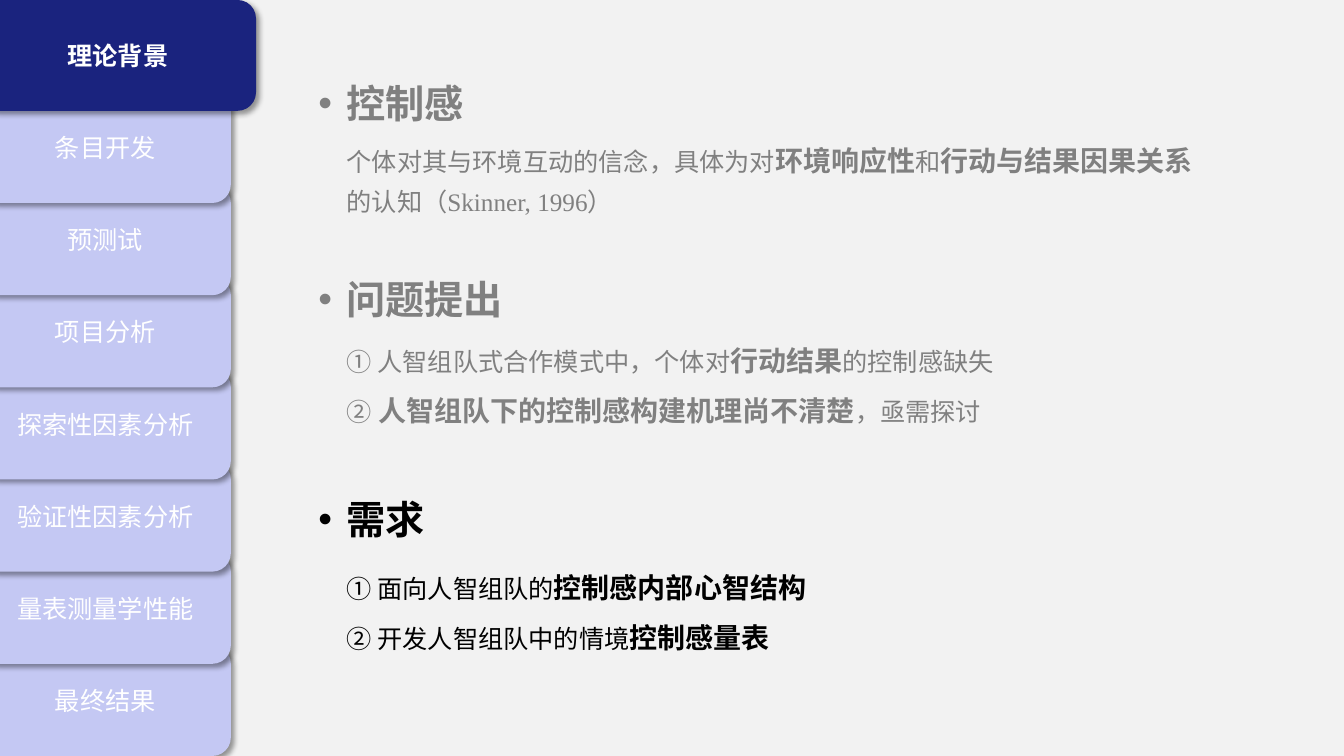
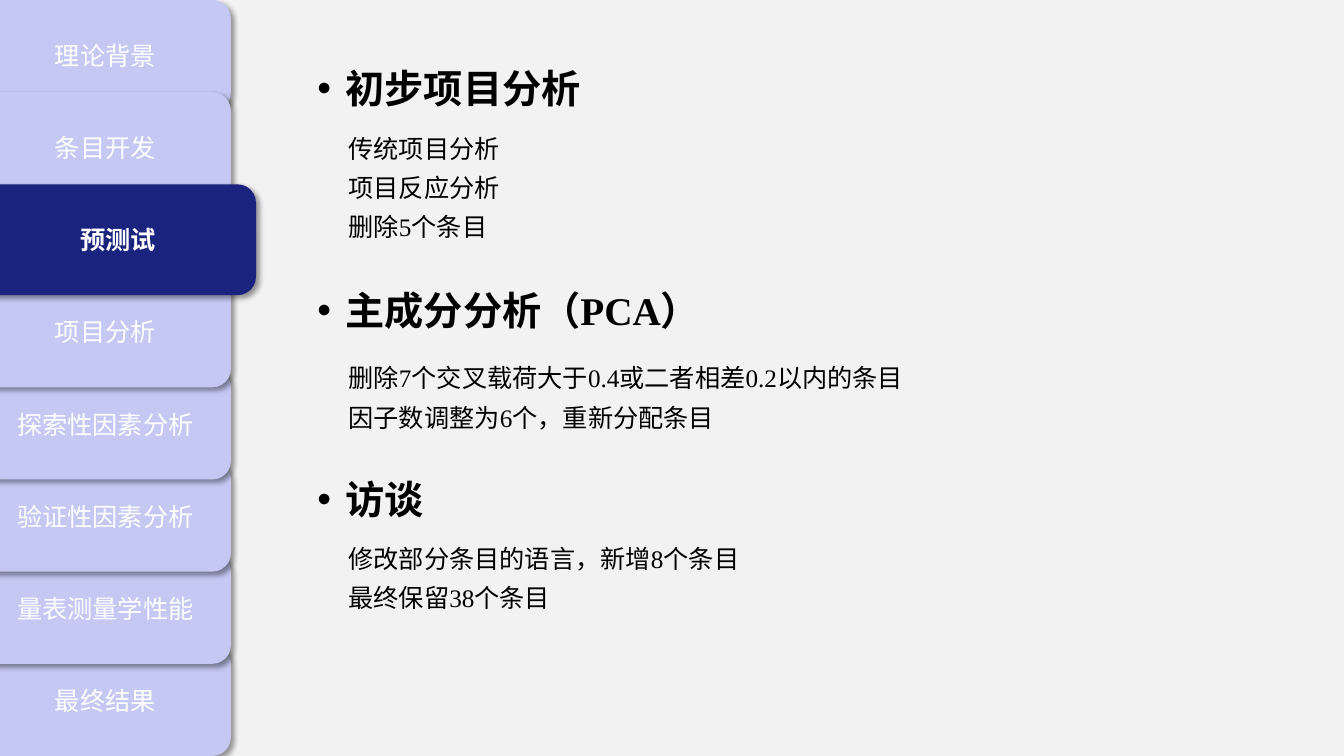
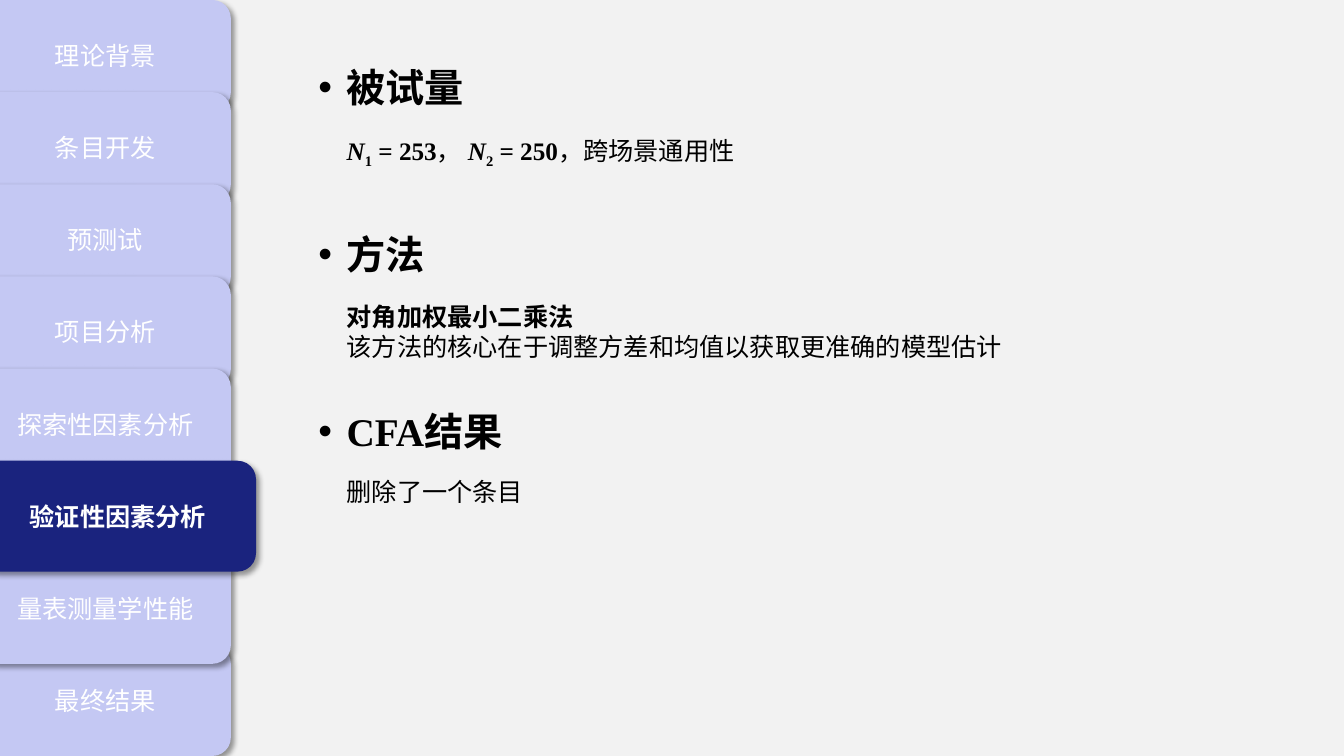
import pptx
import pptx.util
import pptx.dml.color
import pptx.enum.shapes
import pptx.enum.text
import pptx.oxml.ns
from lxml import etree

Pt = pptx.util.Pt
COLOR = {"back": "F2F2F2", "tab": "C4C8F3", "live": "1A237E",
         "white": "FFFFFF", "black": "000000", "gray": "808080"}
SERIF, SANS = "Times New Roman", "Noto Sans CJK SC"
WIDE, HIGH = 960, 540
TABS = ["理论背景", "条目开发", "预测试", "项目分析", "探索性因素分析",
        "验证性因素分析", "量表测量学性能", "最终结果"]
TAB_LEFT, TAB_WIDE, LIVE_WIDE, TAB_HIGH = -14.4, 179.3, 197.3, 79.2
HEAD_WIDE, HEAD_HIGH, BODY_WIDE = 590, 41, 622


def rgb(name):
    return pptx.dml.color.RGBColor.from_string(COLOR[name])


def child(node, tag, **attrs):
    return etree.SubElement(node, pptx.oxml.ns.qn(tag), attrs)


def style(run, size, color, marks="", face=SERIF):
    """Marks: b bold, B bold and larger, i italic, s subscript."""
    font = run.font
    font.size = Pt(size + 2 if "B" in marks else size)
    font.name = face
    font.bold = "b" in marks.lower()
    font.italic = "i" in marks
    font.color.rgb = rgb(color)
    props = run._r.get_or_add_rPr()
    child(props, "a:ea", typeface=SANS)
    if "s" in marks:
        props.set("baseline", "-25000")


def shade(shape):
    shape.shadow.inherit = False
    effects = shape._element.spPr.find(pptx.oxml.ns.qn("a:effectLst"))
    outer = child(effects, "a:outerShdw", blurRad=str(Pt(4)), dist=str(Pt(3)),
                  dir="2700000", algn="tl", rotWithShape="0")
    tint = child(outer, "a:srgbClr", val=COLOR["black"])
    child(tint, "a:alpha", val="40000")


def add_tab(slide, index, live):
    top = index * (HIGH - TAB_HIGH) / (len(TABS) - 1)
    tab = slide.shapes.add_shape(
        pptx.enum.shapes.MSO_SHAPE.ROUNDED_RECTANGLE, Pt(TAB_LEFT), Pt(top),
        Pt(LIVE_WIDE if live else TAB_WIDE), Pt(TAB_HIGH))
    tab.fill.solid()
    tab.fill.fore_color.rgb = rgb("live" if live else "tab")
    tab.line.fill.background()
    shade(tab)
    frame = tab.text_frame
    frame.text = TABS[index]
    frame.vertical_anchor = pptx.enum.text.MSO_ANCHOR.MIDDLE
    line = frame.paragraphs[0]
    line.alignment = pptx.enum.text.PP_ALIGN.CENTER
    style(line.runs[0], 18, "white", "b" if live else "", SANS)


def add_menu(slide, live):
    """Stack the tabs so that those nearer the live one lie on top."""
    count = len(TABS)
    for index in [*range(live), *range(count - 1, live, -1), live]:
        add_tab(slide, index, index == live)


def add_box(slide, left, top, width, height):
    box = slide.shapes.add_textbox(Pt(left), Pt(top), Pt(width), Pt(height))
    box.text_frame.word_wrap = True
    return box.text_frame


def add_head(slide, left, top, text, color):
    frame = add_box(slide, left, top, HEAD_WIDE, HEAD_HIGH)
    frame.text = text
    line = frame.paragraphs[0]
    style(line.runs[0], 28, color, "b")
    props = line._p.get_or_add_pPr()
    props.set("marL", str(Pt(36)))
    props.set("indent", str(Pt(-20.2)))
    child(props, "a:buFont", typeface="Arial")
    child(props, "a:buChar", char="•")


def add_body(slide, left, top, lines, pitch, color):
    """Each line is a list of (text, marks); no pitch means single spacing."""
    frame = add_box(slide, left, top, BODY_WIDE, len(lines) * (pitch or 22) + 7)
    for index, parts in enumerate(lines):
        line = frame.add_paragraph() if index else frame.paragraphs[0]
        if pitch:
            line.line_spacing = Pt(pitch)
        for text, marks in parts:
            run = line.add_run()
            run.text = text
            style(run, 18, color, marks)


def add_page(deck, live, left, indent, topics):
    slide = deck.slides.add_slide(deck.slide_layouts[6])
    slide.background.fill.solid()
    slide.background.fill.fore_color.rgb = rgb("back")
    add_menu(slide, live)
    for top, drop, pitch, color, head, lines in topics:
        add_head(slide, left, top, head, color)
        add_body(slide, left + indent, top + drop, lines, pitch, color)


def plain(*texts):
    return [[(text, "")] for text in texts]


THEORY = [
    (53.3, 41.7, 28, "gray", "控制感", [
        [("个体对其与环境互动的信念，具体为对", ""), ("环境响应性", "B"),
         ("和", ""), ("行动与结果因果关系", "B"),
         ("的认知（Skinner, 1996）", "")]]),
    (193, 36.7, 36, "gray", "问题提出", [
        [("① 人智组队式合作模式中，个体对", ""), ("行动结果", "B"),
         ("的控制感缺失", "")],
        [("②", ""), (" 人智组队下的控制感构建机理尚不清楚", "B"),
         ("，亟需探讨", "")]]),
    (350.6, 41, 36, "black", "需求", [
        [("① 面向人智组队的", ""), ("控制感内部心智结构", "B")],
        [("② 开发人智组队中的情境", ""), ("控制感量表", "B")]]),
]
PRETEST = [
    (42.5, 42.5, 28, "black", "初步项目分析",
     plain("传统项目分析", "项目反应分析", "删除5个条目")),
    (200.9, 48.2, 28, "black", "主成分分析（PCA）",
     plain("删除7个交叉载荷大于0.4或二者相差0.2以内的条目",
           "因子数调整为6个，重新分配条目")),
    (336.2, 41.8, 28, "black", "访谈",
     plain("修改部分条目的语言，新增8个条目", "最终保留38个条目")),
]
CONFIRM = [
    (41.8, 47.5, 28, "black", "被试量", [
        [("N", "bi"), ("1", "bs"), (" = 253", "b"), ("，", ""),
         (" N", "bi"), ("2", "bs"), (" = 250", "b"), ("，跨场景通用性", "")]]),
    (161.3, 50.4, 0, "black", "方法", [
        [("对角加权最小二乘法", "b")],
        [("该方法的核心在于调整方差和均值以获取更准确的模型估计", "")]]),
    (287.3, 49.7, 0, "black", "CFA结果", plain("删除了一个条目")),
]


def main():
    deck = pptx.Presentation()
    deck.slide_width, deck.slide_height = Pt(WIDE), Pt(HIGH)
    add_page(deck, 0, 204.5, 36, THEORY)
    add_page(deck, 2, 203.8, 38.1, PRETEST)
    add_page(deck, 5, 204.5, 36, CONFIRM)
    deck.save("out.pptx")


if __name__ == "__main__":
    main()
